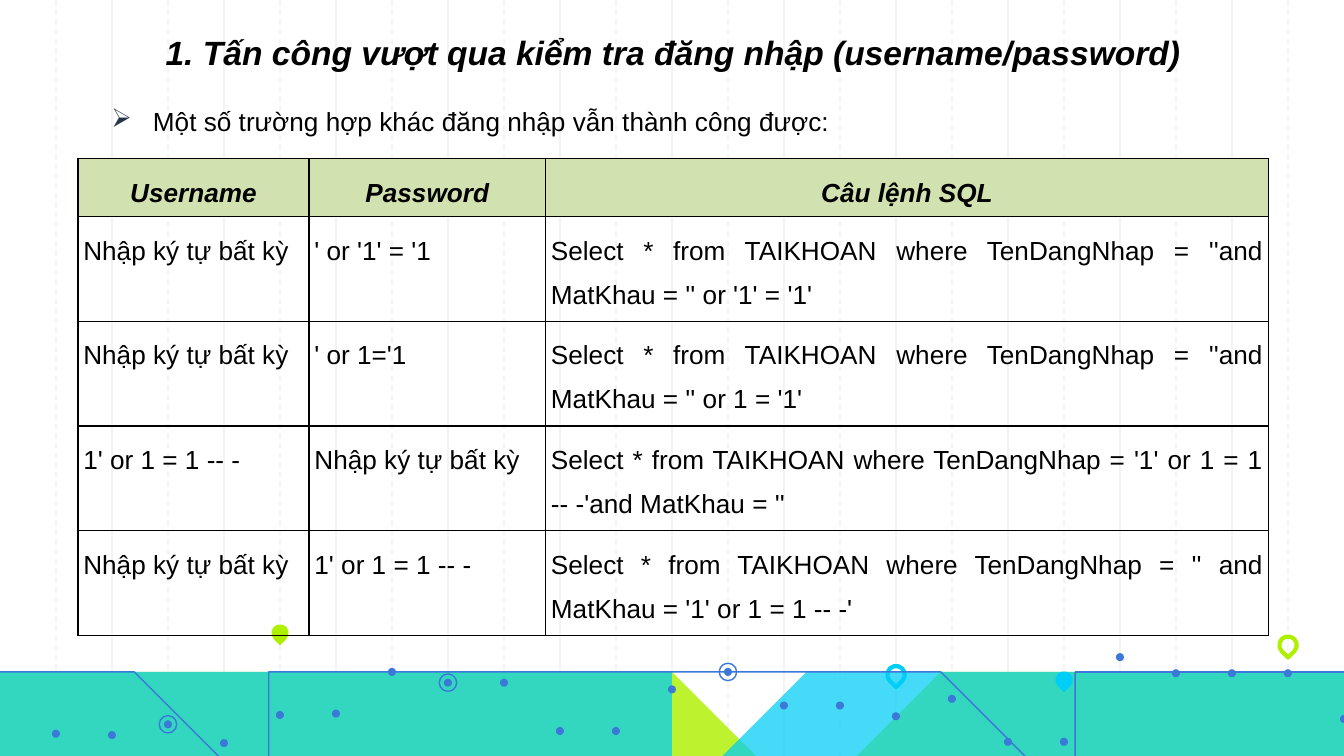
from lxml.etree import SubElement
from pptx import Presentation
from pptx.dml.color import RGBColor
from pptx.enum.dml import MSO_LINE_DASH_STYLE as Dash
from pptx.enum.shapes import MSO_CONNECTOR, MSO_SHAPE as Shape
from pptx.enum.text import MSO_AUTO_SIZE as AutoSize, PP_ALIGN as Align
from pptx.oxml.ns import qn
from pptx.util import Inches, Pt

# Slide and background grid
WIDTH = 10
HEIGHT = WIDTH * 9 / 16
COLUMNS = 24
STEP = WIDTH / COLUMNS

FONT = "Arial"
BLACK = RGBColor(0x00, 0x00, 0x00)
GRID_GREY = RGBColor(0xF3, 0xF3, 0xF3)
LIME = RGBColor(0xAF, 0xF0, 0x00)
CYAN = RGBColor(0x00, 0xCE, 0xF6)
BLUE = RGBColor(0x3C, 0x78, 0xD8)
NAVY = RGBColor(0x28, 0x32, 0x4A)
HEADER_GREEN = RGBColor(0xD2, 0xE1, 0xB0)

# Heights of the landscape at each grid column, from 0 to 24
LIME_HILLS = [4.87, 5.17, 5, 5, 5, 4.86, 5.23, 5.44, 5.44, 5.15, 5.08, 4.93, 5.27,
              5.28, 5.55, 5.55, 5.41, 5.41, 5.18, 5.32, 5.09, 5.08, 5.08, 5.17, 4.94]
CYAN_HILLS = [5.16, 5.31, 5.31, 5.31, 5.19, 5.45, 5.45, 5.31, 5.23, 5.23, 5.3, 5.21, 5.35,
              5.57, 5.42, 5.42, 5.17, 5.31, 5.31, 5.19, 5.19, 5.19, 5.44, 5.35, 5.01]
TREND = [5.06, 5.46, 5.47, 5.39, 5.53, 5.32, 5.31, 5, 5.08, 5.08, 5.44, 5.44, 5.13,
         5, 5.25, 5.25, 5.33, 5.2, 5.52, 5.52, 4.89, 5.01, 5.01, 5.01, 5.35]
TREND_BREAKS = [0, 11, 20, 24]
RINGED_COLUMNS = [8, 3, 13]
# Column, height, colour, filled
PINS = [(5, 4.71, LIME, True), (16, 5.02, CYAN, False),
        (19, 5.06, CYAN, True), (23, 4.8, LIME, False)]

TITLE = "1. Tấn công vượt qua kiểm tra đăng nhập (username/password)"
INTRO = "Một số trường hợp khác đăng nhập vẫn thành công được:"
ANY_INPUT = "Nhập ký tự bất kỳ"
QUERY = "Select * from TAIKHOAN where TenDangNhap = "
LOGIN_CASES = [
    ("Username", "Password", "Câu lệnh SQL"),
    (ANY_INPUT, "' or '1' = '1", QUERY + "''and MatKhau = '' or '1' = '1'"),
    (ANY_INPUT, "' or 1='1", QUERY + "''and MatKhau = '' or 1 = '1'"),
    ("1' or 1 = 1 -- -", ANY_INPUT, QUERY + "'1' or 1 = 1 -- -'and MatKhau = ''"),
    (ANY_INPUT, "1' or 1 = 1 -- -", QUERY + "'' and MatKhau = '1' or 1 = 1 -- -'"),
]
CASE_WIDTHS = [1.72, 1.76, 5.38]
HEADER_HEIGHT, CASE_HEIGHT = 0.33, 0.75


def paint(shape, fill=None, line=None, weight=0.75):
    shape.shadow.inherit = False
    if fill is None:
        shape.fill.background()
    else:
        shape.fill.solid()
        shape.fill.fore_color.rgb = fill
    if line is None:
        shape.line.fill.background()
    else:
        shape.line.color.rgb = line
        shape.line.width = Pt(weight)


def add_grid_line(slide, column, dashed):
    x = Inches(column * STEP)
    rule = slide.shapes.add_connector(MSO_CONNECTOR.STRAIGHT, x, 0, x, Inches(HEIGHT))
    rule.line.color.rgb = GRID_GREY
    rule.line.width = Pt(0.75)
    if dashed:
        rule.line.dash_style = Dash.DASH
    SubElement(rule._element.spPr, qn("a:effectLst"))


def add_path(slide, points, closed):
    start, *rest = [(column * STEP, y) for column, y in points]
    builder = slide.shapes.build_freeform(*start, scale=Inches(1))
    builder.add_line_segments(rest, close=closed)
    return builder.convert_to_shape()


def add_hills(slide, heights, color, opacity):
    base = [(COLUMNS, HEIGHT), (0, HEIGHT)]
    hills = add_path(slide, list(enumerate(heights)) + base, True)
    paint(hills, fill=color)
    solid_color = hills._element.spPr.find(qn("a:solidFill"))[0]
    SubElement(solid_color, qn("a:alpha"), val=str(opacity * 1000))


def add_mark(slide, kind, column, y, size, **look):
    mark = slide.shapes.add_shape(kind, Inches(column * STEP - size / 2),
                                  Inches(y - size / 2), Inches(size), Inches(size))
    paint(mark, **look)
    return mark


def add_pin(slide, column, y, color, filled):
    look = {"fill": color} if filled else {"line": color, "weight": 2.25}
    add_mark(slide, Shape.TEAR, column, y, 0.13, **look).rotation = 135


def add_trend(slide):
    points = list(enumerate(TREND))
    for first, last in zip(TREND_BREAKS, TREND_BREAKS[1:]):
        paint(add_path(slide, points[first:last + 1], False), line=BLUE)
    for column, y in points[1:]:
        add_mark(slide, Shape.OVAL, column, y, 0.06, fill=BLUE)
    for column in RINGED_COLUMNS:
        add_mark(slide, Shape.OVAL, column, TREND[column], 0.13, line=BLUE)


def write(paragraph, text, size, align, strong=False):
    paragraph.alignment = align
    run = paragraph.add_run()
    run.text = text
    run.font.name = FONT
    run.font.size = Pt(size)
    run.font.color.rgb = BLACK
    run.font.bold = run.font.italic = strong


def add_text_frame(slide, left, top, width, height):
    box = slide.shapes.add_textbox(Inches(left), Inches(top), Inches(width), Inches(height))
    box.text_frame.word_wrap = True
    return box.text_frame


def add_title(slide):
    frame = add_text_frame(slide, 1.04, 0.19, 7.94, 0.64)
    frame.auto_size = AutoSize.SHAPE_TO_FIT_TEXT
    write(frame.paragraphs[0], TITLE, 18, Align.CENTER, strong=True)


def add_intro(slide):
    frame = add_text_frame(slide, 0.73, 0.57, 8.32, 0.57)
    frame.margin_top = frame.margin_bottom = Inches(0.1)
    paragraph = frame.paragraphs[0]
    paragraph.line_spacing = 1.5
    write(paragraph, INTRO, 14, Align.JUSTIFY)
    # Hanging arrow bullet
    props = paragraph._p.get_or_add_pPr()
    props.set("marL", str(Inches(0.31)))
    props.set("indent", str(-Inches(0.31)))
    bullet_color = SubElement(props, qn("a:buClr"))
    SubElement(bullet_color, qn("a:srgbClr"), val=str(NAVY))
    SubElement(props, qn("a:buChar"), char="➢")


def add_borders(cell):
    props = cell._tc.get_or_add_tcPr()
    for side in ("lnL", "lnR", "lnT", "lnB"):
        border = SubElement(props, qn(f"a:{side}"), w=str(Pt(0.75)))
        solid = SubElement(border, qn("a:solidFill"))
        SubElement(solid, qn("a:srgbClr"), val=str(BLACK))


def fill_cell(cell, text, is_header):
    cell.margin_left = cell.margin_right = Inches(0.04)
    cell.margin_top = cell.margin_bottom = Inches(0.04)
    add_borders(cell)
    if is_header:
        cell.fill.solid()
        cell.fill.fore_color.rgb = HEADER_GREEN
    else:
        cell.fill.background()
    paragraph = cell.text_frame.paragraphs[0]
    paragraph.line_spacing = 1.5
    paragraph.space_before = Pt(12)
    write(paragraph, text, 14, Align.CENTER if is_header else Align.JUSTIFY, is_header)


def add_login_table(slide):
    heights = [HEADER_HEIGHT] + [CASE_HEIGHT] * (len(LOGIN_CASES) - 1)
    table = slide.shapes.add_table(
        len(heights), len(CASE_WIDTHS), Inches(0.58), Inches(1.18),
        Inches(sum(CASE_WIDTHS)), Inches(sum(heights))).table
    table.first_row = table.horz_banding = False
    for column, width in zip(table.columns, CASE_WIDTHS):
        column.width = Inches(width)
    for r, (case, height) in enumerate(zip(LOGIN_CASES, heights)):
        table.rows[r].height = Inches(height)
        for c, text in enumerate(case):
            fill_cell(table.cell(r, c), text, r == 0)


def main():
    deck = Presentation()
    deck.slide_width, deck.slide_height = Inches(WIDTH), Inches(HEIGHT)
    slide = deck.slides.add_slide(deck.slide_layouts[6])

    # Background: solid lines on even columns, dashed on odd ones
    for first, dashed in ((2, False), (1, True)):
        for column in range(first, COLUMNS, 2):
            add_grid_line(slide, column, dashed)

    # Landscape along the bottom
    add_hills(slide, LIME_HILLS, LIME, 82)
    add_hills(slide, CYAN_HILLS, CYAN, 73)
    for pin in PINS:
        add_pin(slide, *pin)
    add_trend(slide)

    # Content
    add_intro(slide)
    add_title(slide)
    add_login_table(slide)
    deck.save("out.pptx")


if __name__ == "__main__":
    main()
